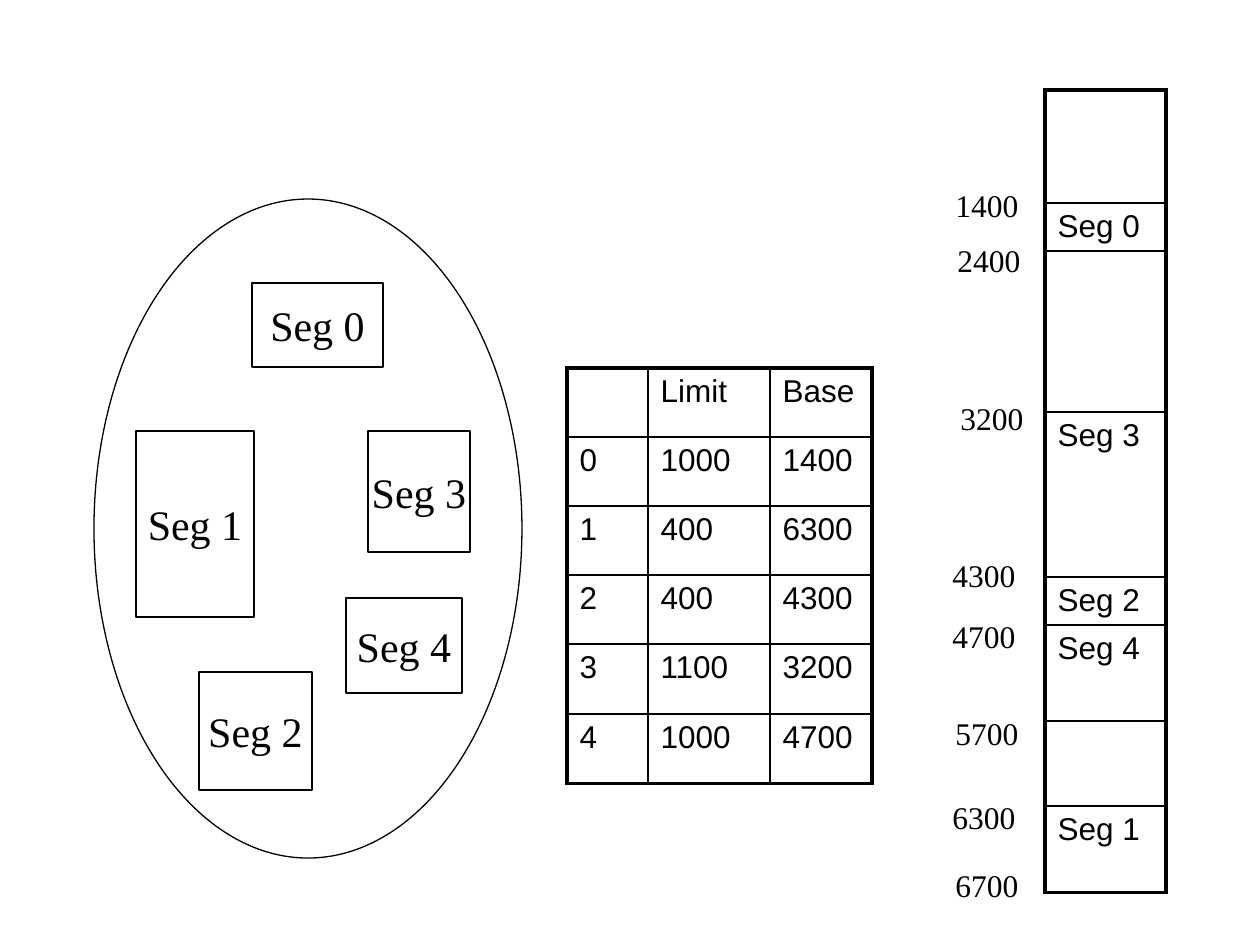
from dataclasses import dataclass

from lxml.etree import SubElement
from pptx import Presentation
from pptx.dml.color import RGBColor
from pptx.enum.shapes import MSO_SHAPE
from pptx.enum.text import MSO_ANCHOR, PP_ALIGN
from pptx.oxml.ns import qn
from pptx.util import Inches, Pt

PX_PER_INCH = 126


@dataclass(frozen=True)
class Theme:
    ink: str = "000000"
    serif: str = "Times New Roman"
    sans: str = "Arial"
    segment_size: int = 24
    text_size: int = 18
    outline: float = 0.75
    inner_border: float = 1
    outer_border: float = 2.25


THEME = Theme()

# Segment name and its left, top, width, height
SEGMENTS = [
    ("Seg 0", (252, 283, 131, 84)),
    ("Seg 3", (368, 431, 102, 121)),
    ("Seg 4", (346, 598, 116, 95)),
    ("Seg 1", (136, 431, 118, 186)),
    ("Seg 2", (199, 672, 113, 118)),
]
SEGMENT_TABLE = [
    ["", "Limit", "Base"],
    ["0", "1000", "1400"],
    ["1", "400", "6300"],
    ["2", "400", "4300"],
    ["3", "1100", "3200"],
    ["4", "1000", "4700"],
]
# Content and height of each block of physical memory
MEMORY_BLOCKS = [
    ("", 113), ("Seg 0", 48), ("", 161), ("Seg 3", 165),
    ("Seg 2", 48), ("Seg 4", 96), ("", 85), ("Seg 1", 87),
]
# Address and the left and top of its label
ADDRESSES = [
    ("1400", 948, 189), ("2400", 950, 244), ("3200", 953, 402),
    ("4300", 945, 559), ("4700", 945, 620), ("5700", 948, 717),
    ("6300", 945, 801), ("6700", 948, 869),
]


def px(*lengths):
    return [Inches(length / PX_PER_INCH) for length in lengths]


def format_runs(frame, font_name, size):
    for run in frame.paragraphs[0].runs:
        run.font.name = font_name
        run.font.size = Pt(size)
        run.font.bold = False
        run.font.color.rgb = RGBColor.from_string(THEME.ink)


def write_centred(frame, text, size):
    frame.text = text
    frame.word_wrap = False
    frame.margin_left = frame.margin_right = 0
    frame.vertical_anchor = MSO_ANCHOR.MIDDLE
    frame.paragraphs[0].alignment = PP_ALIGN.CENTER
    format_runs(frame, THEME.serif, size)


def add_outline(slide, preset, box):
    shape = slide.shapes.add_shape(preset, *px(*box))
    shape.shadow.inherit = False
    shape.fill.background()
    shape.line.color.rgb = RGBColor.from_string(THEME.ink)
    shape.line.width = Pt(THEME.outline)
    return shape


def add_segment(slide, name, box):
    segment = add_outline(slide, MSO_SHAPE.RECTANGLE, box)
    write_centred(segment.text_frame, name, THEME.segment_size)


def add_address(slide, address, left, top):
    label = slide.shapes.add_textbox(*px(left, top, 78, 32))
    write_centred(label.text_frame, address, THEME.text_size)


def set_borders(cell, outer_sides):
    """Draw all four borders, heavier on the table's outer sides."""
    properties = cell._tc.get_or_add_tcPr()
    for side, is_outer in outer_sides.items():
        width = THEME.outer_border if is_outer else THEME.inner_border
        border = SubElement(properties, qn(f"a:ln{side}"), w=str(Pt(width)))
        fill = SubElement(border, qn("a:solidFill"))
        SubElement(fill, qn("a:srgbClr"), val=THEME.ink)


def add_grid(slide, left, top, widths, heights, rows):
    frame = slide.shapes.add_table(
        len(heights), len(widths), *px(left, top, sum(widths), sum(heights)))
    table = frame.table
    table.first_row = table.horz_banding = False
    for column, width in zip(table.columns, px(*widths)):
        column.width = width
    for row, height in zip(table.rows, px(*heights)):
        row.height = height
    for r, texts in enumerate(rows):
        for c, text in enumerate(texts):
            cell = table.cell(r, c)
            cell.text_frame.text = text
            format_runs(cell.text_frame, THEME.sans, THEME.text_size)
            set_borders(cell, {
                "L": c == 0, "R": c == len(widths) - 1,
                "T": r == 0, "B": r == len(heights) - 1,
            })
            cell.fill.background()


def main():
    presentation = Presentation()
    presentation.slide_width = Inches(10)
    presentation.slide_height = Inches(7.5)
    slide = presentation.slides.add_slide(presentation.slide_layouts[6])

    add_outline(slide, MSO_SHAPE.OVAL, (94, 199, 428, 659))
    for name, box in SEGMENTS:
        add_segment(slide, name, box)

    add_grid(slide, 567, 368, [81, 122, 102], [69] * 4 + [70] * 2,
             SEGMENT_TABLE)
    add_grid(slide, 1045, 90, [121], [height for _, height in MEMORY_BLOCKS],
             [[name] for name, _ in MEMORY_BLOCKS])
    for address, left, top in ADDRESSES:
        add_address(slide, address, left, top)

    presentation.save("out.pptx")


if __name__ == "__main__":
    main()
